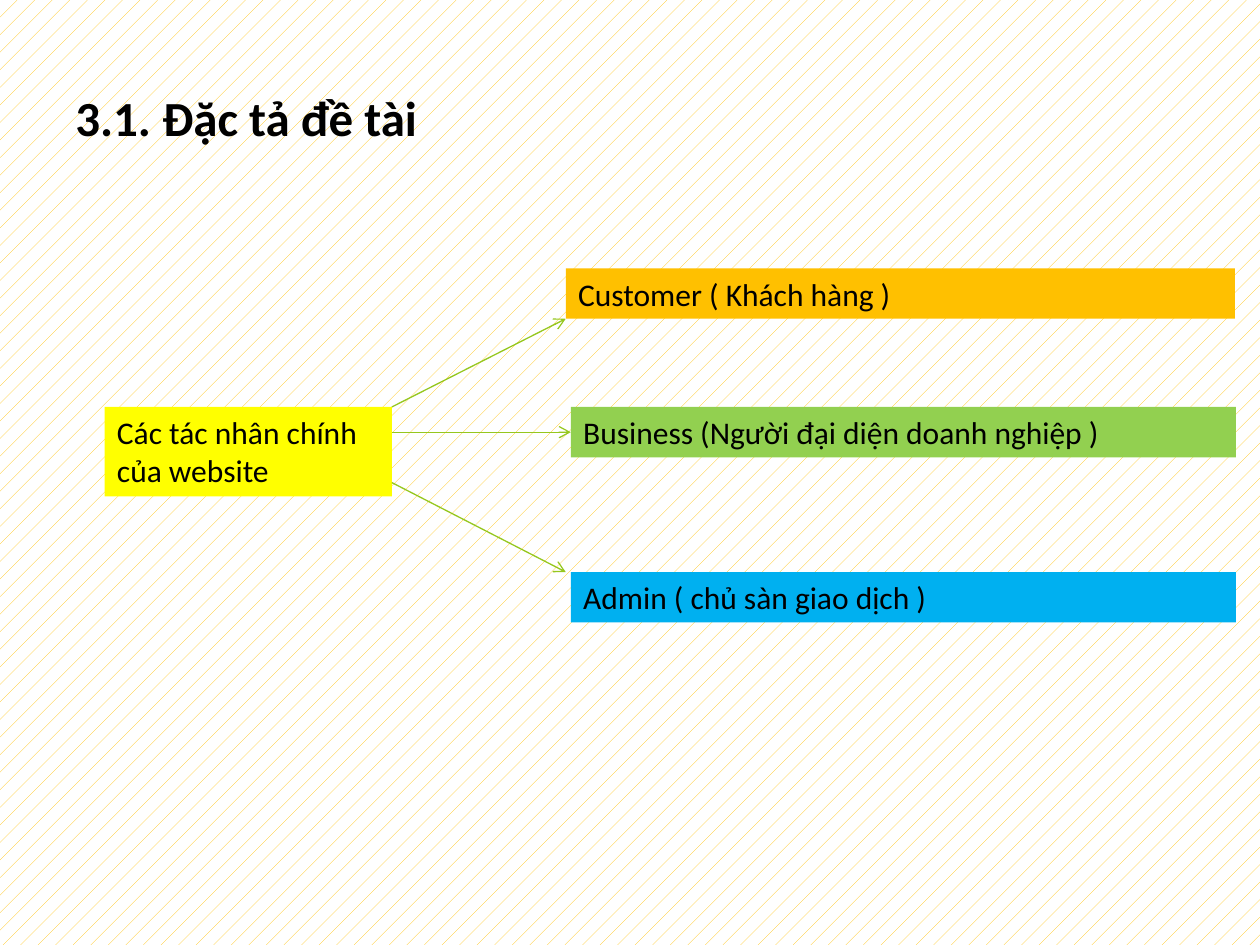
"""Build a slide that links a website to its three main actors."""
from typing import Any, NamedTuple

from lxml import etree
from pptx import Presentation
from pptx import util as u
from pptx.dml.color import RGBColor
from pptx.enum import dml, shapes, text
from pptx.oxml import ns

FONT = {"name": "Calibri", "size": u.Pt(18), "bold": False}
HEAD = {**FONT, "size": u.Pt(28), "bold": True}
FRAME = {
    "word_wrap": True,
    "vertical_anchor": text.MSO_ANCHOR.TOP,
    "auto_size": text.MSO_AUTO_SIZE.SHAPE_TO_FIT_TEXT,
}
MID = {
    "word_wrap": True,
    "vertical_anchor": text.MSO_ANCHOR.MIDDLE,
    "auto_size": text.MSO_AUTO_SIZE.NONE,
}


class Box(NamedTuple):
    words: str
    left: float
    top: float
    width: float
    height: float
    fill: str


class Link(NamedTuple):
    start: tuple[float, float]
    end: tuple[float, float]


ROOT = Box("Các tác nhân chính của website", 0.83, 3.23, 2.28, 0.71, "FFFF00")
ACTORS = [
    Box("Customer ( Khách hàng )", 4.49, 2.13, 5.31, 0.4, "FFC000"),
    Box("Business (Người đại diện doanh nghiệp )", 4.53, 3.23, 5.28, 0.4, "92D050"),
    Box("Admin ( chủ sàn giao dịch )", 4.53, 4.54, 5.28, 0.4, "00B0F0"),
]
EDGE = ROOT.left + ROOT.width
LINKS = [
    Link((EDGE, 3.23), (4.49, 2.53)),
    Link((EDGE, 3.43), (4.53, 3.43)),
    Link((EDGE, 3.83), (4.49, 4.54)),
]


def hue(code: str) -> RGBColor:
    return RGBColor.from_string(code)


def apply(item: Any, values: dict[str, Any]) -> None:
    for key, value in values.items():
        setattr(item, key, value)


def write(shape: Any, words: str, font: dict, frame: dict, align: Any) -> None:
    body = shape.text_frame
    body.text = words
    apply(body, frame)
    line = body.paragraphs[0]
    line.alignment = align
    run = line.runs[0]
    apply(run.font, font)
    run.font.color.rgb = hue("000000")


def draw_box(slide: Any, box: Box) -> None:
    place = [u.Inches(n) for n in (box.left, box.top, box.width, box.height)]
    shape = slide.shapes.add_shape(shapes.MSO_SHAPE.RECTANGLE, *place)
    shape.shadow.inherit = False
    shape.fill.solid()
    shape.fill.fore_color.rgb = hue(box.fill)
    shape.line.fill.background()
    write(shape, box.words, FONT, FRAME, text.PP_ALIGN.LEFT)


def draw_link(slide: Any, link: Link) -> None:
    ends = [u.Inches(n) for n in link.start + link.end]
    wire = slide.shapes.add_connector(shapes.MSO_CONNECTOR.STRAIGHT, *ends)
    wire.line.color.rgb = hue("96C71E")
    wire.line.width = u.Pt(0.75)
    etree.SubElement(wire.line._get_or_add_ln(), ns.qn("a:tailEnd"), type="arrow")
    etree.SubElement(wire._element.spPr, ns.qn("a:effectLst"))


def main() -> None:
    deck = Presentation()
    apply(deck, {"slide_width": u.Inches(10), "slide_height": u.Inches(7.5)})
    slide = deck.slides.add_slide(deck.slide_layouts[6])

    back = slide.background.fill
    back.patterned()
    back.pattern = dml.MSO_PATTERN.PERCENT_5
    back.fore_color.rgb = hue("FFC000")
    back.back_color.rgb = hue("FFFFFF")

    place = [u.Inches(n) for n in (0.5, 0.3, 9, 1.25)]
    title = slide.shapes.add_textbox(*place)
    write(title, "3.1. Đặc tả đề tài", HEAD, MID, text.PP_ALIGN.JUSTIFY)

    for box in [ROOT, *ACTORS]:
        draw_box(slide, box)
    for link in LINKS:
        draw_link(slide, link)
    deck.save("out.pptx")


if __name__ == "__main__":
    main()
